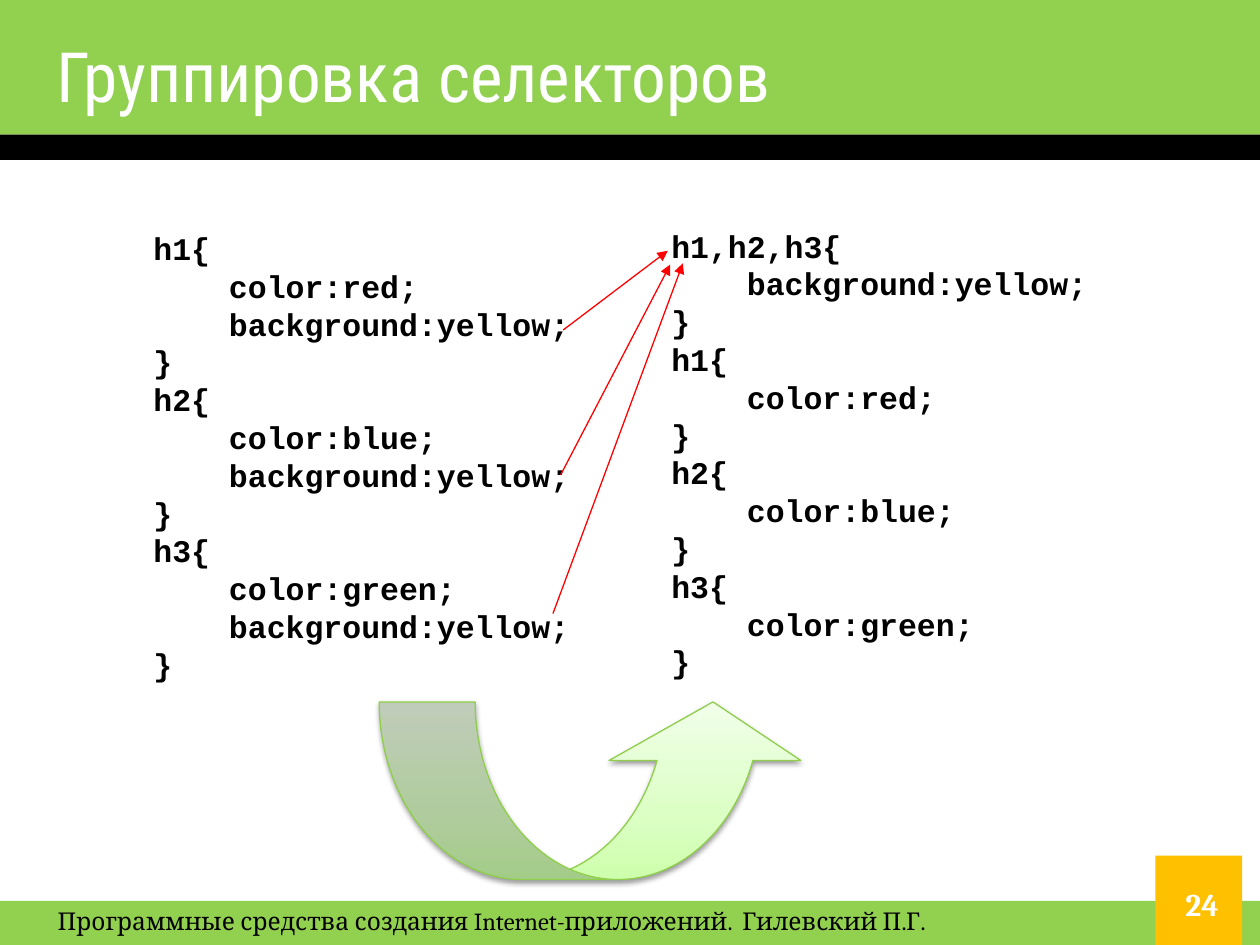
from dataclasses import dataclass

from lxml import etree
from pptx import Presentation
from pptx.dml.color import RGBColor
from pptx.enum.shapes import MSO_CONNECTOR as Connector, MSO_SHAPE as Shape
from pptx.enum.text import MSO_ANCHOR as Anchor, MSO_AUTO_SIZE as AutoSize, PP_ALIGN as Align
from pptx.oxml.ns import qn
from pptx.util import Pt


@dataclass(frozen=True)
class Theme:
    """Colours, fonts and type sizes of the deck."""
    green: str = "92D050"
    black: str = "000000"
    white: str = "FFFFFF"
    amber: str = "FFC000"
    red: str = "FF0000"
    rim: str = "8FCF4B"
    glow: tuple = ((0, "CEFFAC"), (35, "DBFFC4"), (100, "F1FFE9"))
    title_font: str = "Roboto Condensed"
    body_font: str = "Cambria"
    code_font: str = "Courier New"
    title_size: float = 39.6
    code_size: float = 18
    number_size: float = 18
    footer_size: float = 14
    code_pitch: float = 21.6
    code_indent: float = 43.2


THEME = Theme()
WIDTH, HEIGHT = 720, 540


def points(*lengths):
    """Turn plain numbers into lengths in points."""
    return [Pt(length) for length in lengths]


def style(para, font, size, color, bold=False):
    """Set the font of a whole paragraph."""
    para.font.name = font
    para.font.size = Pt(size)
    para.font.bold = bold
    para.font.color.rgb = RGBColor.from_string(color)


def add_band(page, box, color):
    """Add a plain filled rectangle."""
    band = page.shapes.add_shape(Shape.RECTANGLE, *points(*box))
    band.shadow.inherit = False
    band.fill.solid()
    band.fill.fore_color.rgb = RGBColor.from_string(color)
    band.line.fill.background()


def add_text(page, box):
    """Add a wrapping text box and return its frame."""
    frame = page.shapes.add_textbox(*points(*box)).text_frame
    frame.word_wrap = True
    return frame


def add_header(page, box, text):
    """Draw the header bands and put the title placeholder on them."""
    left, top, width, height = box
    bar = 14.4
    add_band(page, (left, top, width, height - bar), THEME.green)
    add_band(page, (left, top + height - bar, width, bar), THEME.black)
    title = page.shapes.title
    title.element.getparent().append(title.element)
    title.left, title.top, title.width, title.height = points(left + 25.2, top + 20.9, 648, 43.9)
    frame = title.text_frame
    frame.text = text
    frame.auto_size = AutoSize.NONE
    frame.vertical_anchor = Anchor.MIDDLE
    frame.paragraphs[0].alignment = Align.LEFT
    style(frame.paragraphs[0], THEME.title_font, THEME.title_size, THEME.white)


def add_footer(page, box, text, number):
    """Draw the footer band with its text and the page number tile."""
    left, top, width, height = box
    add_band(page, box, THEME.green)
    para = add_text(page, (left + 25.9, top - 0.7, 556.6, 25.9)).paragraphs[0]
    para.text = text
    style(para, THEME.body_font, THEME.footer_size, THEME.black)
    add_band(page, (left + 660.2, top + height - 51.1, 49.7, 51.1), THEME.amber)
    frame = add_text(page, (left + 664.6, top - 18, 44.6, 39.6))
    frame.vertical_anchor = Anchor.MIDDLE
    para = frame.paragraphs[0]
    para.text = str(number)
    para.alignment = Align.CENTER
    style(para, THEME.body_font, THEME.number_size, THEME.white, bold=True)


def add_code(page, box, rules):
    """List CSS rules, given as (selector, declarations) pairs."""
    frame = add_text(page, box)
    lines = []
    for selector, declarations in rules:
        lines.append((selector + "{", 0))
        lines += [(declaration + ";", THEME.code_indent) for declaration in declarations]
        lines.append(("}", 0))
    for index, (text, indent) in enumerate(lines):
        para = frame.add_paragraph() if index else frame.paragraphs[0]
        para.text = text
        para.line_spacing = Pt(THEME.code_pitch)
        style(para, THEME.code_font, THEME.code_size, THEME.black, bold=True)
        if indent:
            para._p.get_or_add_pPr().set("marL", str(Pt(indent)))


def add_swoosh(page, box):
    """Add the curved arrow with its gradient and soft shadow."""
    arrow = page.shapes.add_shape(Shape.CURVED_UP_ARROW, *points(*box))
    for index, value in enumerate((0.54, 1.08, 0.33)):
        arrow.adjustments[index] = value
    arrow.line.color.rgb = RGBColor.from_string(THEME.rim)
    arrow.line.width = Pt(0.75)
    arrow.fill.gradient()
    arrow.fill.gradient_angle = 90
    stops = arrow.element.spPr.find(".//" + qn("a:gsLst"))
    for stop in list(stops):
        stops.remove(stop)
    for percent, color in THEME.glow:
        stop = etree.SubElement(stops, qn("a:gs"), pos=str(percent * 1000))
        etree.SubElement(stop, qn("a:srgbClr"), val=color)
    arrow.shadow.inherit = False
    effects = arrow.element.spPr.find(qn("a:effectLst"))
    shadow = etree.SubElement(effects, qn("a:outerShdw"), blurRad=str(Pt(3.1)),
                              dist=str(Pt(1.6)), dir="5400000", rotWithShape="0")
    shade = etree.SubElement(shadow, qn("a:srgbClr"), val=THEME.black)
    etree.SubElement(shade, qn("a:alpha"), val="38000")


def add_pointer(page, start, end):
    """Add a thin red arrow from start to end."""
    pointer = page.shapes.add_connector(Connector.STRAIGHT, *points(*start, *end))
    pointer.line.color.rgb = RGBColor.from_string(THEME.red)
    pointer.line.width = Pt(0.75)
    etree.SubElement(pointer.line._get_or_add_ln(), qn("a:tailEnd"), type="triangle")
    etree.SubElement(pointer.element.spPr, qn("a:effectLst"))


def add_comparison(page, box):
    """Show separate rules beside grouped ones, joined by arrows."""
    left, top, width, height = box
    colors = {"h1": "red", "h2": "blue", "h3": "green"}
    shared = "background:yellow"
    separate = [(tag, ["color:" + color, shared]) for tag, color in colors.items()]
    grouped = [(",".join(colors), [shared])]
    grouped += [(tag, ["color:" + color]) for tag, color in colors.items()]
    add_code(page, (left, top + 1.4, 273.6, 266.4), separate)
    add_code(page, (left + 295.9, top, 262.8, 266.4), grouped)
    add_swoosh(page, (left + 136.1, top + height - 101.5, 245.5, 101.5))
    for start, end in (((241.2, 62.6), (301, 17.3)),
                       ((239.8, 145.4), (302.4, 25.2)),
                       ((235.4, 224.6), (309.6, 24.5))):
        add_pointer(page, (left + start[0], top + start[1]), (left + end[0], top + end[1]))


def build():
    """Build and save the deck."""
    deck = Presentation()
    deck.slide_width, deck.slide_height = points(WIDTH, HEIGHT)
    page = deck.slides.add_slide(deck.slide_layouts[5])
    add_header(page, (0, 0, WIDTH, 91.4), "Группировка селекторов")
    add_footer(page, (0, HEIGHT - 25.2, WIDTH, 25.2),
               "Программные средства создания Internet-приложений.  Гилевский П.Г.", 24)
    add_comparison(page, (80.6, 126, 558.7, 376.6))
    deck.save("out.pptx")


build()
